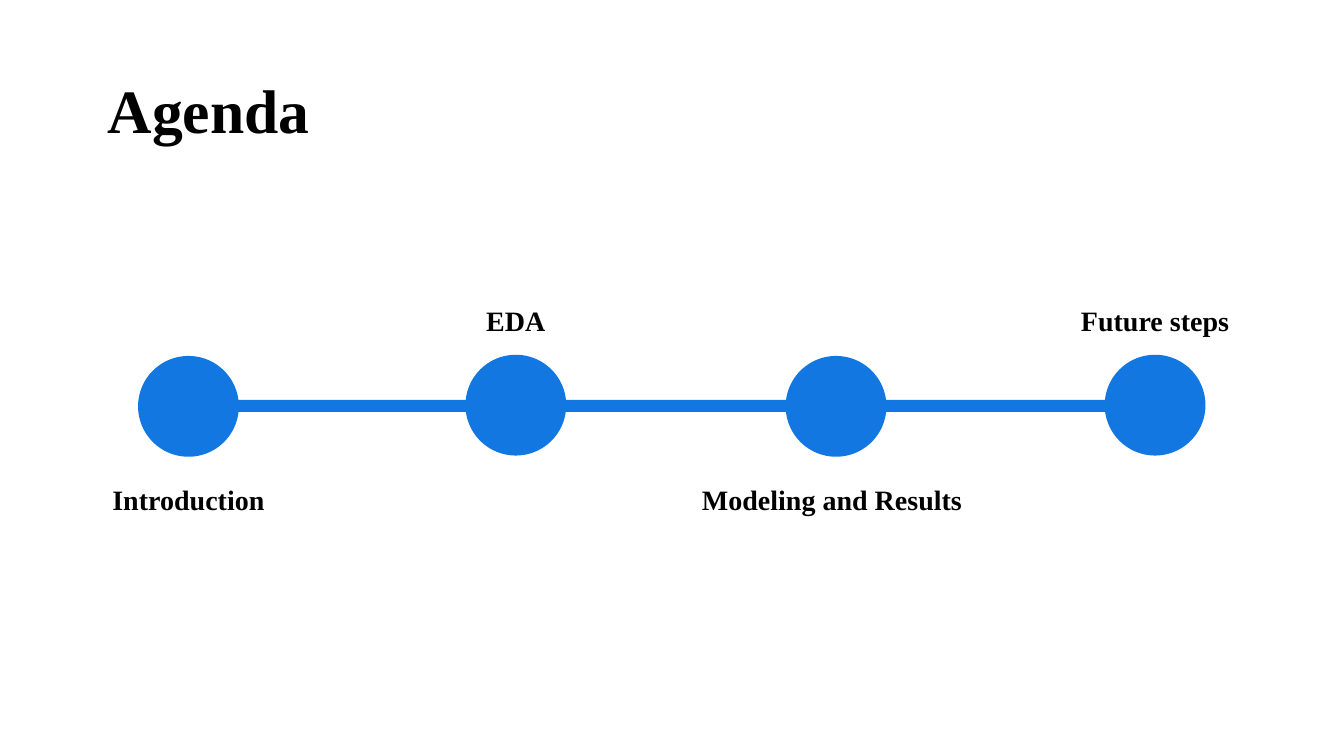
import pptx
import pptx.dml.color
import pptx.enum.shapes
import pptx.enum.text
import pptx.util

Cm = pptx.util.Cm
Pt = pptx.util.Pt
RGB = pptx.dml.color.RGBColor
Shape = pptx.enum.shapes.MSO_SHAPE
Align = pptx.enum.text.PP_ALIGN

THEME = {
    "accent": RGB(0x12, 0x77, 0xE1),
    "heading": {"name": "Times New Roman", "size": Pt(44), "bold": True},
    "label": {"name": "Times New Roman", "size": Pt(20), "bold": True},
    "ink": RGB(0, 0, 0),
}
FRAME = {
    "word_wrap": True,
    "margin_left": Cm(0.25),
    "margin_right": Cm(0.25),
    "margin_top": Cm(0.13),
    "margin_bottom": Cm(0.13),
}


def write(box, text, font, align, frame):
    for name, value in {**FRAME, **frame}.items():
        setattr(box.text_frame, name, value)
    paragraph = box.text_frame.paragraphs[0]
    paragraph.alignment = align
    run = paragraph.add_run()
    run.text = text
    for name, value in font.items():
        setattr(run.font, name, value)
    run.font.color.rgb = THEME["ink"]
    return paragraph


def draw(kind, left, top, width, height):
    mark = slide.shapes.add_shape(kind, Cm(left), Cm(top), Cm(width), Cm(height))
    mark.shadow.inherit = False
    mark.fill.solid()
    mark.fill.fore_color.rgb = THEME["accent"]
    mark.line.fill.background()


deck = pptx.Presentation()
deck.slide_width = Cm(33.87)
deck.slide_height = Cm(19.05)
slide = deck.slides.add_slide(deck.slide_layouts[5])

agenda = slide.shapes.title
for name, value in {"left": 2.46, "top": 1.02, "width": 29.21, "height": 3.68}.items():
    setattr(agenda, name, Cm(value))
heading = write(agenda, "Agenda", THEME["heading"], Align.LEFT, {
    "vertical_anchor": pptx.enum.text.MSO_ANCHOR.MIDDLE,
    "auto_size": pptx.enum.text.MSO_AUTO_SIZE.NONE,
})
heading.line_spacing = 0.9

draw(Shape.RECTANGLE, 3.73, 10.08, 26.39, 0.3)

DOT = 2.54
LABEL_HEIGHT = 1.11
ABOVE = {"dot": 8.94, "label": 7.53}
BELOW = {"dot": 8.97, "label": 12.04}
steps = [
    ("Introduction", 4.75, 6.58, BELOW, Align.CENTER),
    ("EDA", 13.0, 7.39, ABOVE, Align.CENTER),
    ("Modeling and Results", 21.07, 7.26, BELOW, Align.LEFT),
    ("Future steps", 29.11, 7.16, ABOVE, Align.CENTER),
]
for step, center, width, tops, align in steps:
    draw(Shape.OVAL, center - DOT / 2, tops["dot"], DOT, DOT)
    label = slide.shapes.add_textbox(
        Cm(center - width / 2), Cm(tops["label"]), Cm(width), Cm(LABEL_HEIGHT))
    write(label, step, THEME["label"], align,
          {"auto_size": pptx.enum.text.MSO_AUTO_SIZE.SHAPE_TO_FIT_TEXT})

deck.save("out.pptx")
